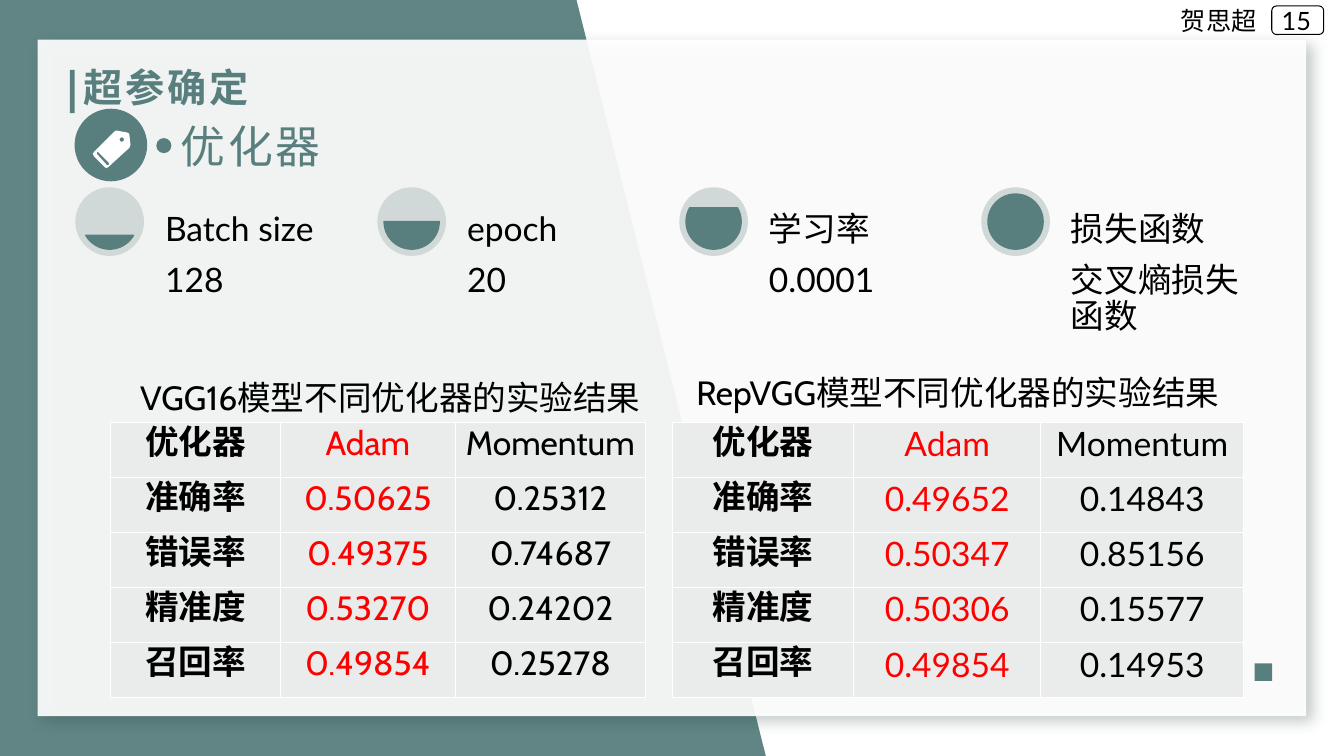
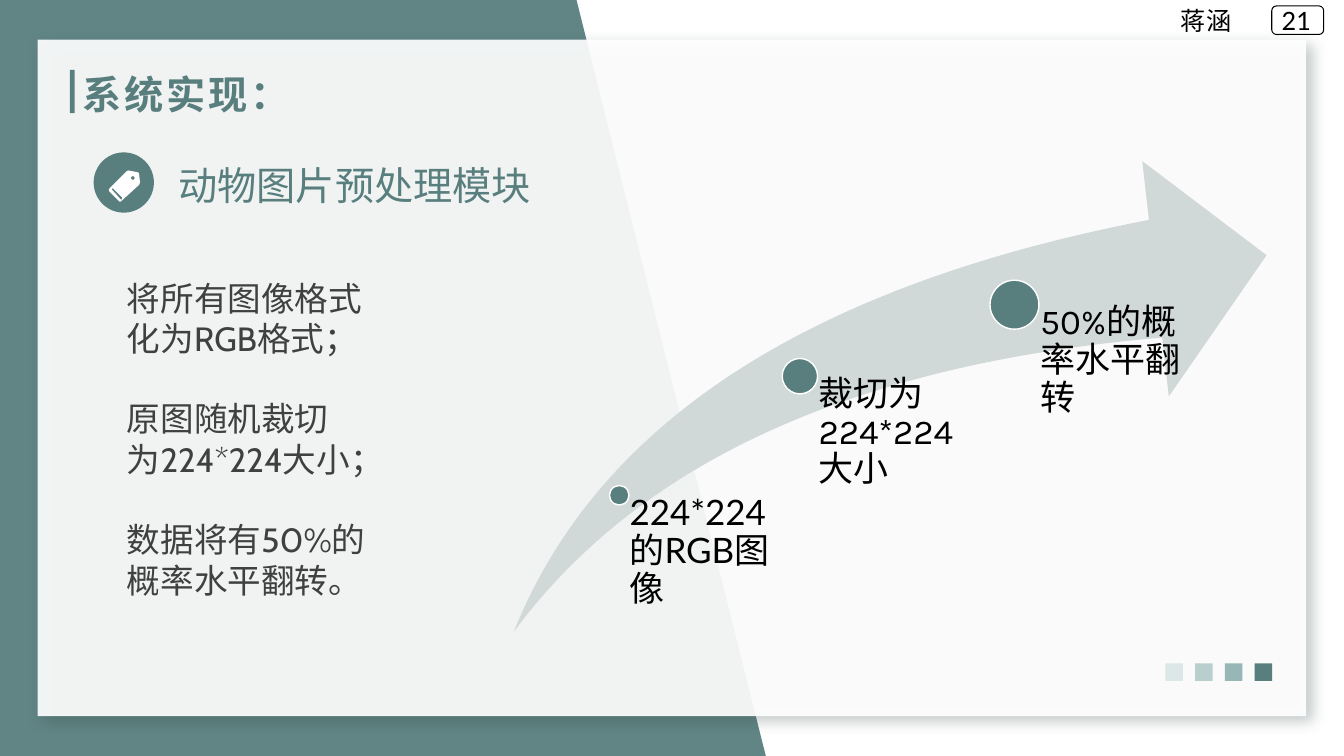
from dataclasses import dataclass
from math import cos, pi, sin

from lxml.etree import SubElement
from pptx import Presentation
from pptx.dml.color import RGBColor
from pptx.enum.shapes import MSO_SHAPE as SHAPE
from pptx.enum.text import MSO_ANCHOR as ANCHOR, MSO_AUTO_SIZE as AUTO, PP_ALIGN as ALIGN
from pptx.oxml import parse_xml
from pptx.oxml.ns import nsdecls, qn
from pptx.util import Cm, Pt


@dataclass(frozen=True)
class Theme:
    teal: str = "587F7E"
    mist: str = "D1D8D8"
    cell: str = "EAECEC"
    white: str = "FFFFFF"
    black: str = "000000"
    grey: str = "404040"
    red: str = "FF0000"
    shade: str = "2C403F"
    squares: tuple = ("DCE7E7", "B9CFCE", "96B7B6", "587F7E")
    head: str = "Karla"
    text: str = "Lato"
    alt: str = "Cabin"
    small: int = 18
    body: int = 24
    step: int = 25
    title: int = 28
    large: int = 32


T = Theme()
WIDTH, HEIGHT = 33.87, 19.05


def cms(*values):
    return [Cm(v) for v in values]


def paint(sp, fill, line=None, weight=1, alpha=None):
    sp.shadow.inherit = False
    sp.fill.solid()
    sp.fill.fore_color.rgb = RGBColor.from_string(fill)
    if alpha:
        clr = sp.element.spPr.find(qn("a:solidFill"))[0]
        SubElement(clr, qn("a:alpha"), val=str(alpha * 1000))
    if line:
        sp.line.color.rgb = RGBColor.from_string(line)
        sp.line.width = Pt(weight)
    else:
        sp.line.fill.background()
    return sp


def add_box(s, kind, box, fill, **look):
    return paint(s.shapes.add_shape(kind, *cms(*box)), fill, **look)


def add_run(p, text, size, font, color, bold=False, spacing=0):
    r = p.add_run()
    r.text = text
    r.font.size = Pt(size)
    r.font.name = font
    r.font.bold = bold
    r.font.color.rgb = RGBColor.from_string(color)
    if spacing:
        r.font._element.set("spc", str(spacing * 100))


def set_insets(tf, left, top, right, bottom):
    tf.margin_left, tf.margin_top, tf.margin_right, tf.margin_bottom = cms(left, top, right, bottom)


def add_text(s, box, text, size, font=T.text, color=T.black, spacing=0,
             insets=(0.25, 0.13, 0.25, 0.13), anchor=ANCHOR.TOP, leading=1.0):
    tf = s.shapes.add_textbox(*cms(*box)).text_frame
    tf.word_wrap = True
    tf.vertical_anchor = anchor
    set_insets(tf, *insets)
    p = tf.paragraphs[0]
    p.line_spacing = leading
    add_run(p, text, size, font, color, spacing=spacing)


def place(holder, box):
    holder.left, holder.top, holder.width, holder.height = cms(*box)
    tf = holder.text_frame
    tf.word_wrap = True
    tf.auto_size = AUTO.NONE
    tf.vertical_anchor = ANCHOR.TOP
    set_insets(tf, 0.25, 0.13, 0.25, 0.13)
    return tf


def draw_frame(s, master):
    first = len(s.shapes)
    slant = s.shapes.build_freeform(0, 0)
    slant.add_line_segments([cms(14.53, 0), cms(19.3, HEIGHT), cms(0, HEIGHT)])
    paint(slant.convert_to_shape(), T.teal, alpha=95)
    panel = add_box(s, SHAPE.RECTANGLE, (0.95, 1, 31.97, 17.05), T.white, alpha=92)
    panel.element.spPr.find(qn("a:effectLst")).append(parse_xml(
        f'<a:outerShdw {nsdecls("a")} blurRad="{Pt(10)}" dist="{Pt(6)}" dir="2700000" '
        f'algn="tl" rotWithShape="0"><a:srgbClr val="{T.shade}"><a:alpha val="30000"/>'
        '</a:srgbClr></a:outerShdw>'))
    for i, color in enumerate(T.squares):
        add_box(s, SHAPE.RECTANGLE, (29.37 + 0.75 * i, 16.72, 0.44, 0.44), color)
    add_box(s, SHAPE.RECTANGLE, (1.76, 1.76, 0.12, 1.09), T.teal)
    add_box(s, SHAPE.ROUNDED_RECTANGLE, (32.05, 0.15, 1.31, 0.72), T.white,
            line=T.black, weight=0.75)
    for sp in list(s.shapes)[first:]:
        master.shapes.element.append(sp.element)


def draw_header(s, title_box, title, author, page):
    p = place(s.shapes.title, title_box).paragraphs[0]
    p.alignment = ALIGN.LEFT
    add_run(p, title, T.title, T.head, T.teal, bold=True, spacing=2)
    add_text(s, (29.51, 0, 3.23, 1.02), author, T.small)
    add_text(s, (32.05, 0, 1.31, 1.02), page, T.small)


def draw_tag(s, x, y, size):
    outer = [(100, 38), (97, 11), (95, 7), (89, 5), (62, 0), (57, 3), (3, 57), (0, 62),
             (3, 68), (32, 97), (36, 100), (41, 97), (97, 46)]
    slot = [(43, 92), (38, 92), (11, 62), (11, 57), (14, 57), (43, 86)]
    hole = [(77 + 6 * cos(k * pi / 6), 24 + 6 * sin(k * pi / 6)) for k in range(12)]
    builder = s.shapes.build_freeform(*outer[0], scale=Cm(size) / 100)
    builder.add_line_segments(outer[1:])
    for ring in (slot, hole):
        builder.move_to(*ring[0])
        builder.add_line_segments(ring[1:])
    paint(builder.convert_to_shape(Cm(x), Cm(y)), T.white)


def draw_badge(s, x, y, size):
    add_box(s, SHAPE.OVAL, (x, y, size, size), T.teal)
    draw_tag(s, x + 0.25 * size, y + 0.3 * size, 0.52 * size)


def draw_gauge(s, x, y, angles, label, value):
    size, inset = 1.73, 0.17
    add_box(s, SHAPE.OVAL, (x, y, size, size), T.mist)
    inner = size - 2 * inset
    sp = add_box(s, SHAPE.CHORD, (x + inset, y + inset, inner, inner), T.teal, line=T.teal)
    for i, degrees in enumerate(angles):
        sp.adjustments[i] = degrees * 0.6
    for top, height, text, anchor in ((y, size, label, ANCHOR.BOTTOM),
                                      (y + size, 7.32, value, ANCHOR.TOP)):
        add_text(s, (x + 2.08, top, 5.16, height), text, T.body,
                 insets=(0.18,) * 4, anchor=anchor, leading=0.9)


def set_borders(cell):
    tcPr = cell._tc.get_or_add_tcPr()
    for i, side in enumerate("LRTB"):
        tcPr.insert(i, parse_xml(
            f'<a:ln{side} {nsdecls("a")} w="{Pt(1)}"><a:solidFill>'
            f'<a:srgbClr val="{T.white}"/></a:solidFill></a:ln{side}>'))


def draw_results(s, x, y, widths, font, rows):
    row_height = 1.39
    table = s.shapes.add_table(len(rows), len(widths), *cms(
        x, y, sum(widths), row_height * len(rows))).table
    for column, width in zip(table.columns, widths):
        column.width = Cm(width)
    for i, row in enumerate(rows):
        table.rows[i].height = Cm(row_height)
        for j, text in enumerate(row):
            cell = table.cell(i, j)
            cell.fill.solid()
            cell.fill.fore_color.rgb = RGBColor.from_string(T.cell)
            set_borders(cell)
            cell.vertical_anchor = ANCHOR.MIDDLE
            set_insets(cell, 0.18, 0, 0.18, 0)
            p = cell.text_frame.paragraphs[0]
            p.alignment = ALIGN.CENTER
            p.line_spacing = Pt(20)
            add_run(p, text, T.body, font, T.red if j == 1 else T.black, bold=j == 0)


def draw_steps(s, x, y, w, h, steps):
    swoosh = add_box(s, SHAPE.SWOOSH_ARROW, (x, y, w, h), T.mist)
    swoosh.adjustments[0] = swoosh.adjustments[1] = 0.25
    for across, down, scale, width, font, text in steps:
        cx, cy, d = x + across * w, y + down * h, scale * w
        add_box(s, SHAPE.OVAL, (cx - d / 2, cy - d / 2, d, d), T.teal, line=T.white)
        add_text(s, (cx, cy, width, y + h - cy), text, T.step, font,
                 insets=(0.53 * d, 0, 0, 0), leading=0.9)


def draw_body(holder, box, items):
    tf = place(holder, box)
    for i, lines in enumerate(items):
        p = tf.paragraphs[0] if i == 0 else tf.add_paragraph()
        pPr = p._p.get_or_add_pPr()
        pPr.set("marL", "0")
        pPr.set("indent", "0")
        SubElement(pPr, qn("a:buNone"))
        p.space_before = Pt(28.8 if i else 0)
        for k, line in enumerate(lines):
            if k:
                p.add_line_break()
            add_run(p, line, T.body, T.alt, T.grey)
        for br in p._p.findall(qn("a:br")):
            SubElement(br, qn("a:rPr"), sz=str(T.body * 100))


def build_parameters(s):
    draw_header(s, (1.85, 1.47, 13.36, 1.22), "超参确定", "贺思超", "15")
    draw_badge(s, 1.88, 2.74, 1.83)
    add_box(s, SHAPE.OVAL, (3.94, 3.48, 0.38, 0.38), T.teal)
    add_text(s, (4.55, 3, 27.86, 1.37), "优化器", T.large, T.head, T.teal,
             spacing=2, insets=(0,) * 4)
    gauges = [((30, 150), "Batch size", "128"), ((0, 180), "epoch", "20"),
              ((330, 210), "学习率", "0.0001"), ((270, 270), "损失函数", "交叉熵损失函数")]
    for i, gauge in enumerate(gauges):
        draw_gauge(s, 1.9 + 7.61 * i, 4.72, *gauge)
    header = ("优化器", "Adam", "Momentum")
    names = ("准确率", "错误率", "精准度", "召回率")
    vgg = (("0.50625", "0.49375", "0.53270", "0.49854"),
           ("0.25312", "0.74687", "0.24202", "0.25278"))
    rep = (("0.49652", "0.50347", "0.50306", "0.49854"),
           ("0.14843", "0.85156", "0.15577", "0.14953"))
    draw_results(s, 2.79, 10.64, (4.27, 4.42, 4.78), T.alt, [header, *zip(names, *vgg)])
    draw_results(s, 16.94, 10.64, (4.57, 4.72, 5.11), T.text, [header, *zip(names, *rep)])
    add_text(s, (3.28, 9.37, 16.94, 1.27), "VGG16模型不同优化器的实验结果", T.body, T.alt)
    add_text(s, (17.3, 9.25, 16.5, 1.27), "RepVGG模型不同优化器的实验结果", T.body, T.alt)


def build_preprocessing(s):
    draw_header(s, (1.83, 1.65, 13.41, 1.22), "系统实现：", "蒋涵", "21")
    draw_badge(s, 2.36, 3.84, 1.52)
    add_text(s, (4.5, 4.06, 10.57, 1.19), "动物图片预处理模块", T.title, T.head, T.teal,
             insets=(0,) * 4)
    draw_body(s.placeholders[1], (2.95, 6.86, 11.48, 9.53), [
        ("将所有图像格式", "化为RGB格式；"),
        ("原图随机裁切", "为224*224大小；"),
        ("数据将有50%的", "概率水平翻转。")])
    draw_steps(s, 12.95, 4.06, 18.97, 11.86, [
        (0.14, 0.71, 0.026, 4.42, T.text, "224*224的RGB图像"),
        (0.38, 0.457, 0.047, 4.55, T.head, "裁切为224*224大小"),
        (0.665, 0.305, 0.065, 4.55, T.head, "50%的概率水平翻转")])


def main():
    prs = Presentation()
    prs.slide_width, prs.slide_height = cms(WIDTH, HEIGHT)
    parameters = prs.slides.add_slide(prs.slide_layouts[5])
    draw_frame(parameters, prs.slide_master)
    build_parameters(parameters)
    build_preprocessing(prs.slides.add_slide(prs.slide_layouts[1]))
    prs.save("out.pptx")


if __name__ == "__main__":
    main()
